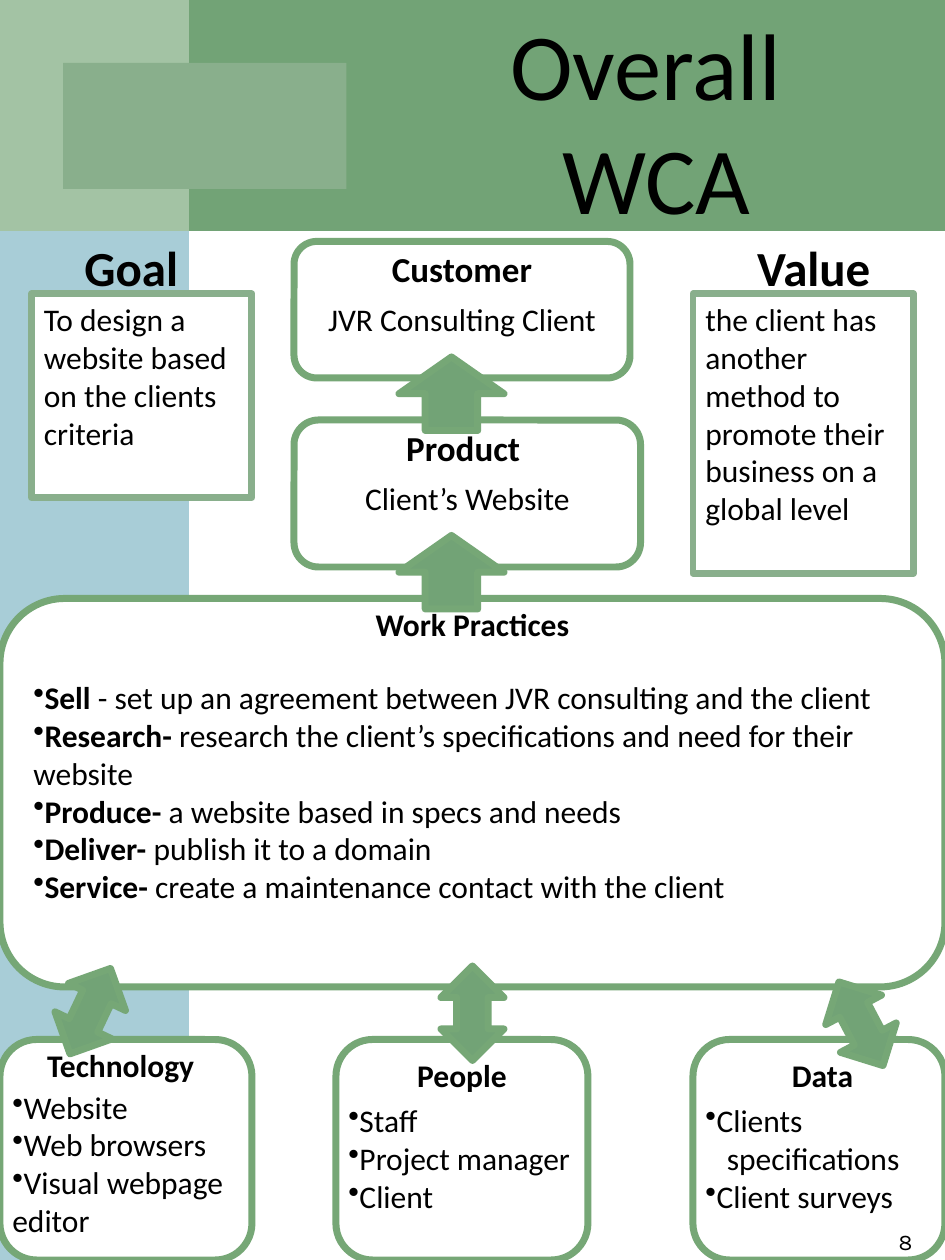
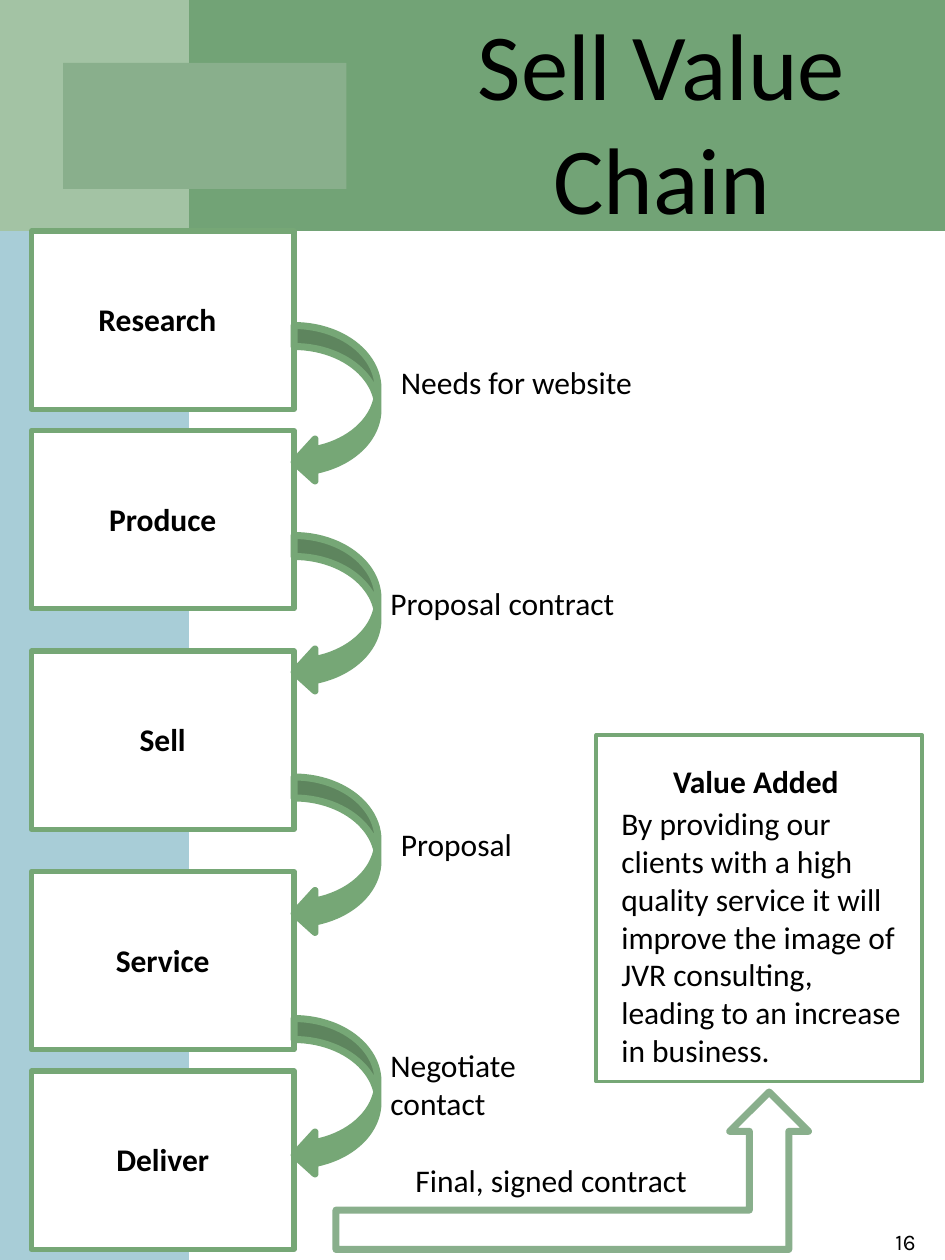
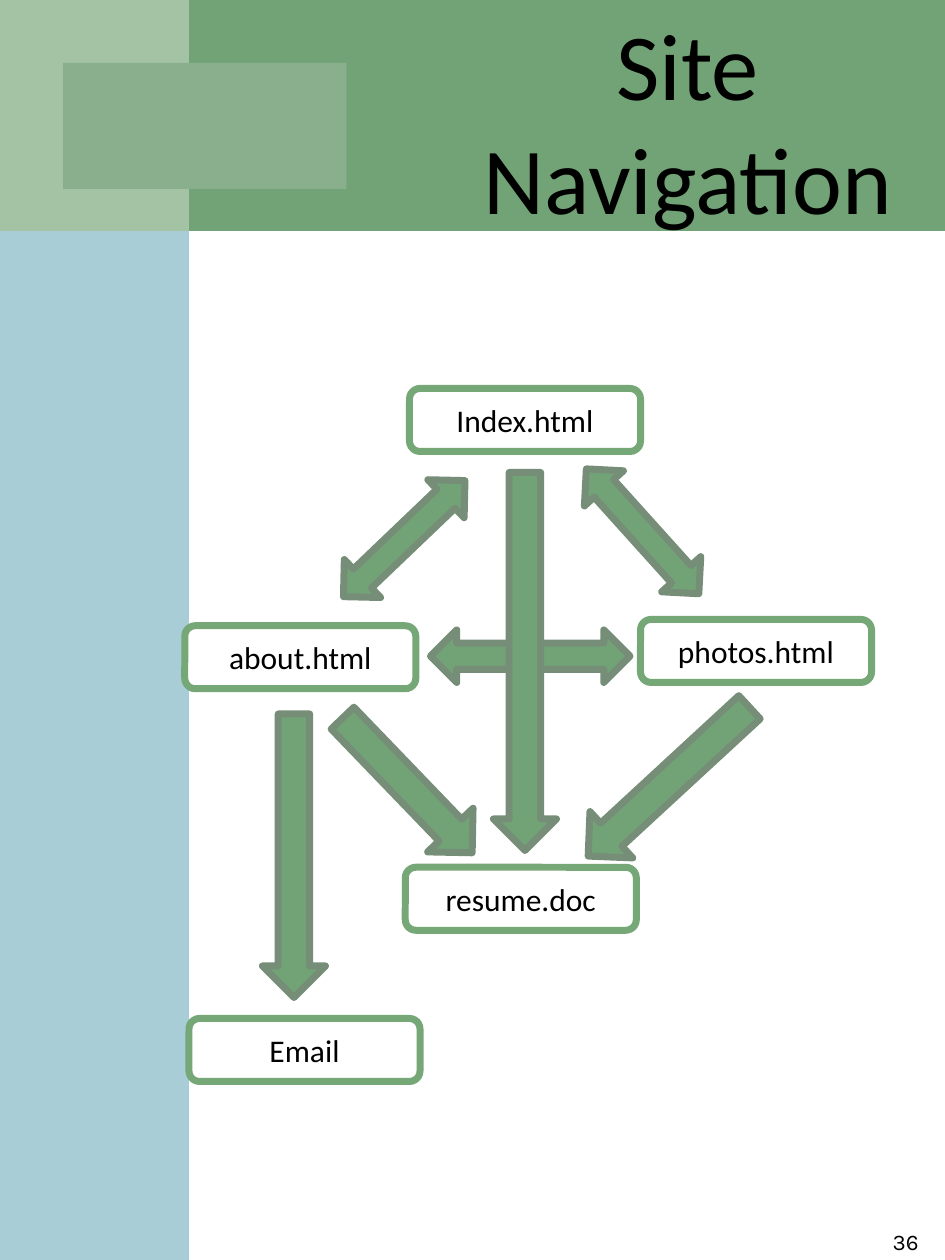
from pptx import Presentation
from pptx import util as u
from pptx.dml.color import RGBColor
from pptx.enum import shapes, text
from pptx.oxml.ns import qn
from lxml import etree

COLS, ROWS = 90, 120
CELL = u.Inches(7.5) / COLS
G = shapes.MSO_SHAPE
A = text.PP_ALIGN

THEME = {
    "white": "FFFFFF", "black": "000000", "blue": "A8CDD7", "green": "72A376",
    "pale": "B0CCB0", "edge": "76A776", "soft": "89AF8C", "dark": "768E78",
    "body_font": "Calibri", "page_font": "Karla",
    "title": 54, "heading": 28, "label": 20, "body": 18, "small": 16,
    "thick": 4, "medium": 3, "thin": 2.25,
}

WCA = {
    "title": (["Overall", " WCA"], 36, 51), "page": "8",
    "panels": [(66, 99, 24, 21), (32, 99, 24, 21), (0, 57, 90, 37),
               (0, 99, 24, 21)],
    "links": [(5.6, 91.8, 25.4), (42, 92, 0), (79, 93, 332.2)],
    "outcomes": [(28, 23, 32, 13), (28, 40, 33, 14)],
    "rises": [(38, 34), (38, 51)],
    "headings": [
        ("Customer", 28, 23, 32, "label"), ("Product ", 29, 40, 31, "label"),
        ("Work Practices", 0, 57, 90, "body"), ("Technology", 0, 99, 23, "body"),
        ("People", 33, 100, 22, "body"), (" Data", 66, 100, 24, "body"),
        ("Value", 69, 22, 17, "heading"), ("Goal", 4, 22, 17, "heading"),
    ],
    "notes": [
        ("To design a website based on the clients criteria", (3, 28, 21, 19.4)),
        ("the client has another method to promote their business on a global level",
         (66, 28, 21, 26.6)),
    ],
    "captions": [("JVR Consulting Client", 28, 28, 32),
                 ("Client’s Website", 28, 45, 33)],
    "practices": [
        ("Sell", " - set up an agreement between JVR consulting and the client"),
        ("Research-", " research the client’s specifications and need for their website"),
        ("Produce-", " a website based in specs and needs"),
        ("Deliver-", " publish it to a domain"),
        ("Service-", " create a maintenance contact with the client"),
    ],
    "lists": [
        (["Clients", ("specifications",), "Client surveys"], (66, 104.3, 21, 15.7)),
        (["Staff", "Project manager", "Client"], (32, 104.3, 24, 15.7)),
        (["Website", "Web browsers", "Visual webpage editor"], (0, 103, 24, 17)),
    ],
}

CHAIN = {
    "title": (["Sell Value Chain"], 36, 54), "page": "16",
    "steps": [("Research", 22, 24), ("Produce", 41, 25), ("Sell", 62, 25),
              ("Service", 83, 25), ("Deliver", 102, 25)],
    "curves": [31, 51, 74, 97],
    "handoffs": [(["Needs for website"], 37, 34, 28),
                 (["Proposal contract"], 36, 55, 26),
                 (["Proposal"], 37, 78, 19),
                 (["Negotiate", "contact"], 36, 99, 22)],
    "final": "Final, signed contract",
    "value": ("Value Added",
              "By providing our clients with a high quality service it will "
              "improve the image of JVR consulting, leading to an increase in business."),
}

SITE = {
    "title": (["Site Navigation"], 41, 49), "page": "36",
    "pages": [("Index.html", 39, 37), ("about.html", 17.6, 59.6),
              ("resume.doc", 38.6, 82.6), ("photos.html", 61, 59),
              ("Email", 18, 97)],
    "arrows": [
        (G.DOWN_ARROW, (25, 68, 6, 27), 0),
        (G.UP_DOWN_ARROW, (58.7, 42.6, 5, 16), 318),
        (G.UP_DOWN_ARROW, (36, 43.3, 5, 16), 46.3),
        (G.UP_DOWN_ARROW, (48, 53, 5, 19), 90),
        (G.DOWN_ARROW, (47, 45, 6, 36), 0),
        (G.DOWN_ARROW, (60.7, 64, 6, 20.9), 47.3),
        (G.DOWN_ARROW, (35.8, 65.9, 6, 17.8), 316.1),
    ],
}


def rgb(name):
    return RGBColor.from_string(THEME[name])


def cells(box):
    return [round(v * CELL) for v in box]


def shape(s, kind, box, fill="white", line=None, width="thick", rot=0):
    sp = s.shapes.add_shape(kind, *cells(box))
    sp.shadow.inherit = False
    sp.rotation = rot
    sp.fill.solid()
    sp.fill.fore_color.rgb = rgb(fill)
    if line:
        sp.line.color.rgb = rgb(line)
        sp.line.width = u.Pt(THEME[width])
    else:
        sp.line.fill.background()
    return sp


def write(sp, paras, size="body", bold=False, align=A.LEFT,
          anchor=text.MSO_ANCHOR.TOP, font="body_font", bullets=False):
    tf = sp.text_frame
    tf.word_wrap, tf.vertical_anchor = True, anchor
    for i, para in enumerate(paras):
        p = tf.paragraphs[0] if i == 0 else tf.add_paragraph()
        p.alignment = align
        runs = (para,) if isinstance(para, str) else para
        if bullets:
            pPr = p._p.get_or_add_pPr()
            indented = len(runs) == 1 and not isinstance(para, str)
            pPr.set("marL", str(u.Inches(0.17) if indented else 0))
            pPr.set("indent", "0")
            if not indented:
                etree.SubElement(pPr, qn("a:buChar")).set("char", "•")
        for j, words in enumerate(runs):
            r = p.add_run()
            r.text = words
            style = {"name": THEME[font], "size": u.Pt(THEME[size]),
                     "bold": bold or (len(runs) > 1 and j == 0)}
            for key, value in style.items():
                setattr(r.font, key, value)
            r.font.color.rgb = rgb("black")
    return sp


def label(s, paras, box, **style):
    return write(s.shapes.add_textbox(*cells(box)), paras, **style)


def frame(prs, content):
    s = prs.slides.add_slide(prs.slide_layouts[6])
    shape(s, G.RECTANGLE, (0, 8, 18, ROWS - 8), "blue")
    shape(s, G.RECTANGLE, (0, 0, COLS, 22), "green")
    corner = shape(s, G.RECTANGLE, (0, 0, 18, 22), "pale")
    tint = corner.fill._xPr.find(qn("a:solidFill"))[0]
    etree.SubElement(tint, qn("a:alpha")).set("val", "80000")
    shape(s, G.RECTANGLE, (6, 6, 27, 12), "soft")
    paras, left, width = content["title"]
    label(s, paras, (left, 0, width, 23), size="title", align=A.CENTER)
    return s


def number(s, content):
    page = label(s, [content["page"]], (82.5, 116, 7.5, 4), size="small",
                 font="page_font", align=A.CENTER, anchor=text.MSO_ANCHOR.MIDDLE)
    page.text_frame.paragraphs[0].runs[0].font._element.set("cap", "small")


def build_wca(s, c):
    for box in c["panels"]:
        shape(s, G.ROUNDED_RECTANGLE, box, line="edge")
    for x, y, rot in c["links"]:
        shape(s, G.UP_DOWN_ARROW, (x, y, 6, 9), "green", "edge", rot=rot)
    for box in c["outcomes"]:
        shape(s, G.ROUNDED_RECTANGLE, box, line="edge")
    for x, y in c["rises"]:
        shape(s, G.UP_ARROW, (x, y, 10, 7), "green", "edge")
    for words, x, y, w, size in c["headings"]:
        label(s, [words], (x, y, w, 5), size=size, bold=True, align=A.CENTER)
    for words, box in c["notes"]:
        write(shape(s, G.RECTANGLE, box, line="soft"), [words])
    label(s, c["practices"], (2, 64, 88, 23), bullets=True)
    for words, x, y, w in c["captions"]:
        label(s, [words], (x, y, w, 5), align=A.CENTER)
    for items, box in c["lists"]:
        label(s, items, box, bullets=True)


def build_chain(s, c):
    for _, y, _ in c["steps"]:
        shape(s, G.RECTANGLE, (3, y, 25, 17), line="edge", width="medium")
    for y in c["curves"]:
        shape(s, G.CURVED_LEFT_ARROW, (28, y, 8, 15), "edge", "edge")
    shape(s, G.BENT_UP_ARROW, (32, 104, 45, 15), line="soft")
    shape(s, G.RECTANGLE, (56.8, 70, 31, 33), line="edge", width="thin")
    for words, y, w in c["steps"]:
        label(s, [words], (3, y + 6, w, 5), bold=True, align=A.CENTER)
    heading, body = c["value"]
    label(s, [heading], (57, 72, 30, 5), bold=True, align=A.CENTER)
    label(s, [body], (58, 76, 29, 26.6))
    for paras, x, y, w in c["handoffs"]:
        label(s, paras, (x, y, w, 5 * len(paras)))
    label(s, [c["final"]], (34, 110, 37, 5), align=A.CENTER)


def build_site(s, c):
    for words, x, y in c["pages"]:
        node = shape(s, G.ROUNDED_RECTANGLE, (x, y, 22, 6), line="edge")
        write(node, [words], align=A.CENTER, anchor=text.MSO_ANCHOR.MIDDLE)
    for kind, box, rot in c["arrows"]:
        shape(s, kind, box, "green", "dark", rot=rot)


def main():
    prs = Presentation()
    prs.slide_width, prs.slide_height = cells((COLS, ROWS))
    for build, content in ((build_wca, WCA), (build_chain, CHAIN), (build_site, SITE)):
        s = frame(prs, content)
        build(s, content)
        number(s, content)
    prs.save("out.pptx")


if __name__ == "__main__":
    main()
